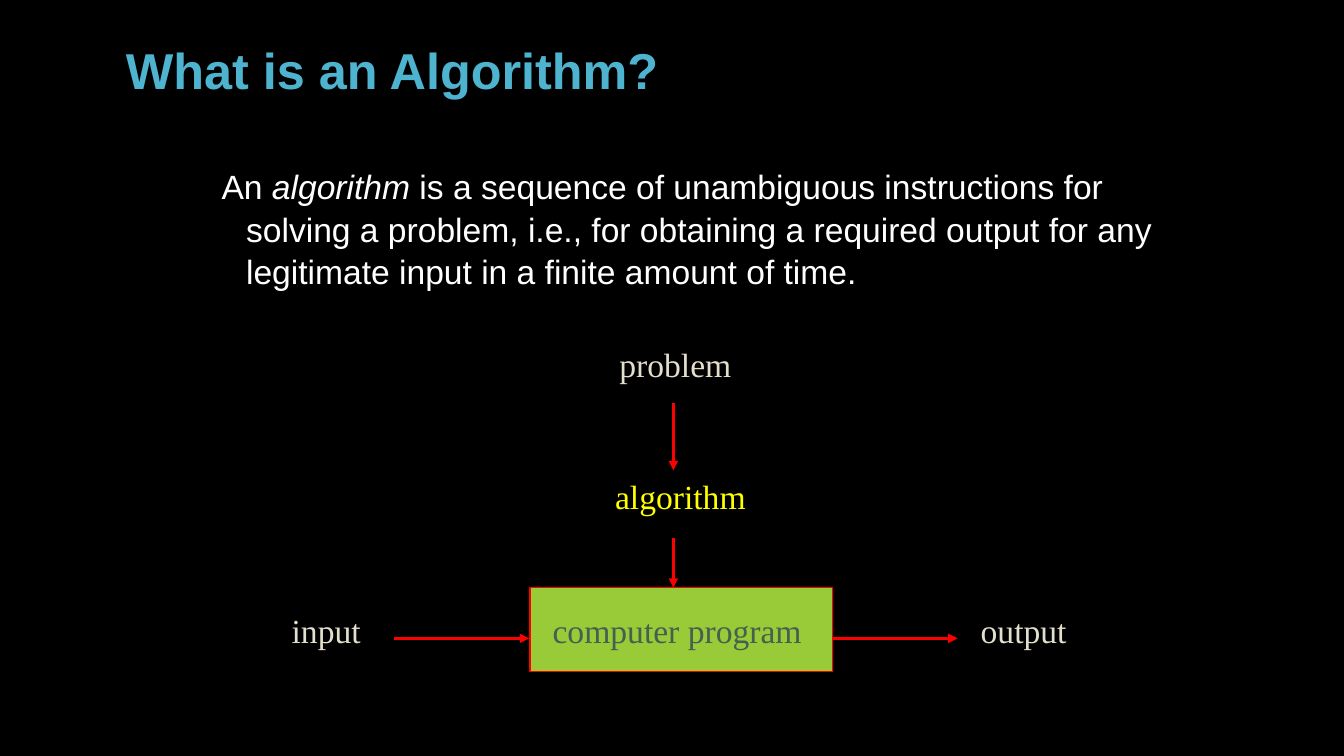
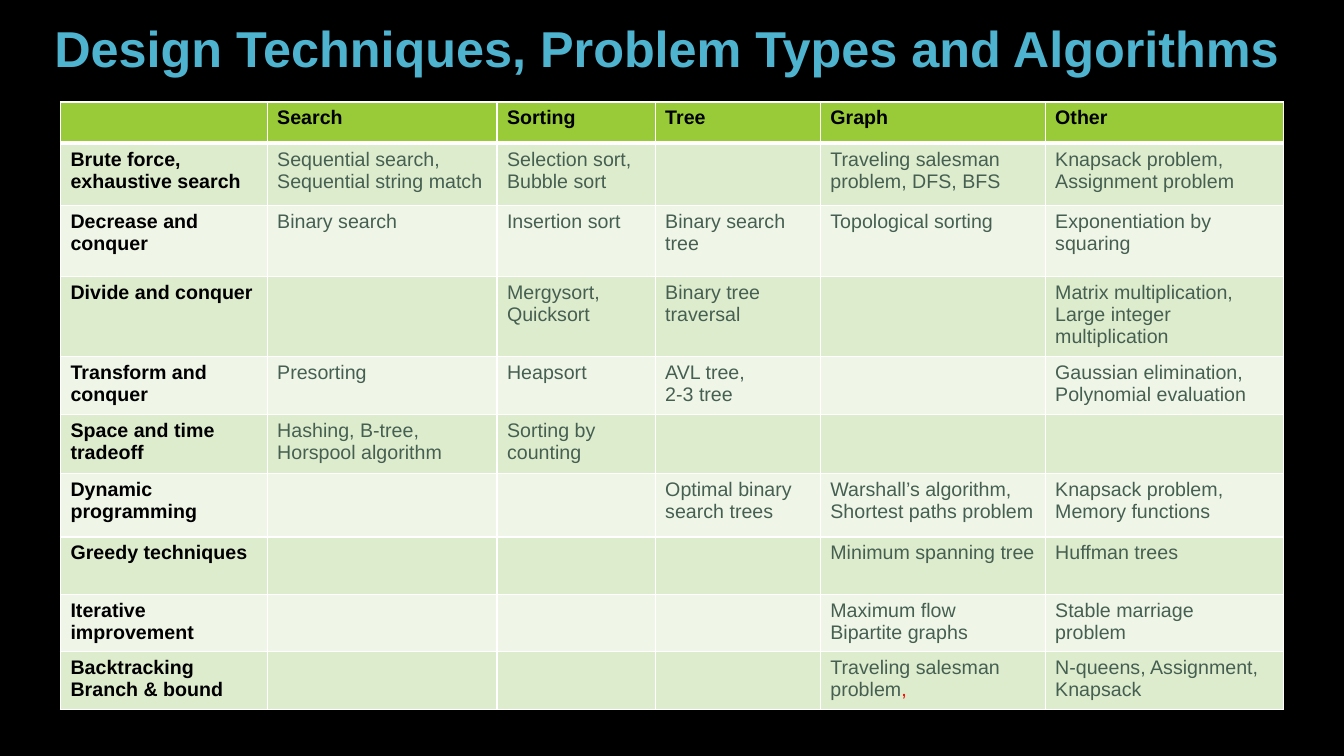
from pptx import Presentation
from pptx.dml.color import RGBColor
from pptx.enum.shapes import MSO_CONNECTOR, MSO_SHAPE
from pptx.enum.text import MSO_ANCHOR, PP_ALIGN
from pptx.oxml import parse_xml
from pptx.oxml.ns import nsdecls, qn
from pptx.util import Pt

STRAIGHT = MSO_CONNECTOR.STRAIGHT
RECT = MSO_SHAPE.RECTANGLE
TOP, MIDDLE, BOTTOM = MSO_ANCHOR.TOP, MSO_ANCHOR.MIDDLE, MSO_ANCHOR.BOTTOM
LEFT, CENTER = PP_ALIGN.LEFT, PP_ALIGN.CENTER

BLACK = RGBColor(0, 0, 0)
WHITE = RGBColor(255, 255, 255)
BLUE = RGBColor(0x4E, 0xB3, 0xCF)
GREEN = RGBColor(0x99, 0xCB, 0x38)
SAGE = RGBColor(0xDE, 0xEC, 0xCE)
PALE = RGBColor(0xEF, 0xF6, 0xE8)
DARK = RGBColor(0x45, 0x5F, 0x51)
CREAM = RGBColor(0xE2, 0xDF, 0xCC)
RED = RGBColor(255, 0, 0)
YELLOW = RGBColor(255, 255, 0)

TITLE = {"name": "Arial", "size": Pt(36), "bold": True, "rgb": BLUE}
BODY = {"name": "Arial", "size": Pt(24), "rgb": WHITE}
LABEL = {"name": "Times New Roman", "size": Pt(24), "rgb": CREAM}
CELL = {"name": "Arial", "size": Pt(14), "bold": False, "rgb": DARK}
HEAD = CELL | {"bold": True, "rgb": BLACK}

INTRO = [
    ("An ", {}),
    ("algorithm", {"italic": True}),
    (" is a sequence of unambiguous instructions for solving a problem, "
     "i.e., for obtaining a required output for any legitimate input "
     "in a finite amount of time.", {}),
]
LABELS = [
    ("problem", 424.8, 242, 115.2, CREAM),
    ("algorithm", 432, 336.2, 108, YELLOW),
    ("input", 185.8, 432, 94.3, CREAM),
    ("output", 684, 432, 94.3, CREAM),
]
PROGRAM = (378.7, 419.8, 216, 59.8)
ARROWS = [
    (481, 288, 481, 336),
    (481, 384, 481, 419.8),
    (281.5, 456, 378, 456),
    (594, 456, 684, 456),
]

COLS = [147.6, 164.2, 113, 118, 160.6, 170]
ROWS = [29.5, 44.6, 50.4, 56, 41, 42.5, 45.2, 41, 41, 41]
GRID = [
    ["", "Search", "Sorting", "Tree", "Graph", "Other"],
    ["Brute force, exhaustive search",
     "Sequential search, Sequential string match",
     "Selection sort, Bubble sort", "",
     "Traveling salesman problem, DFS, BFS",
     "Knapsack problem, Assignment problem"],
    ["Decrease and conquer", "Binary search", "Insertion sort",
     "Binary search tree", "Topological sorting",
     "Exponentiation by\nsquaring"],
    ["Divide and conquer", "", "Mergysort, Quicksort",
     "Binary tree traversal", "",
     "Matrix multiplication, Large integer multiplication"],
    ["Transform and conquer", "Presorting", "Heapsort",
     "AVL tree,\n2-3 tree", "",
     "Gaussian elimination, Polynomial evaluation"],
    ["Space and time tradeoff", "Hashing, B-tree, Horspool algorithm",
     "Sorting by counting", "", "", ""],
    ["Dynamic programming", "", "", "Optimal binary search trees",
     "Warshall’s algorithm, Shortest paths problem",
     "Knapsack problem, Memory functions"],
    ["Greedy techniques", "", "", "", "Minimum spanning tree",
     "Huffman trees"],
    ["Iterative\nimprovement", "", "", "",
     "Maximum flow\nBipartite graphs", "Stable marriage\nproblem"],
    ["Backtracking Branch & bound", "", "", "",
     [("Traveling salesman problem", {}), (",", {"rgb": RED})],
     "N-queens, Assignment, Knapsack"],
]


def style(font, form):
    for key, val in form.items():
        setattr(font.color if key == "rgb" else font, key, val)


def write(frame, text, form, align=LEFT):
    lines = text.split("\n") if isinstance(text, str) else [text]
    for num, line in enumerate(lines):
        para = frame.add_paragraph() if num else frame.paragraphs[0]
        para.alignment = align
        runs = [(line, {})] if isinstance(line, str) else line
        for words, extra in runs:
            if words:
                run = para.add_run()
                run.text = words
                style(run.font, form | extra)
    return frame.paragraphs[0]


def add_text(slide, place, text, form, align=LEFT, anchor=TOP, wrap=True):
    frame = slide.shapes.add_textbox(*map(Pt, place)).text_frame
    frame.word_wrap = wrap
    frame.vertical_anchor = anchor
    return write(frame, text, form, align)


def add_slide(deck, title, place, anchor):
    slide = deck.slides.add_slide(deck.slide_layouts[6])
    slide.background.fill.solid()
    slide.background.fill.fore_color.rgb = BLACK
    add_text(slide, place, title, TITLE, anchor=anchor).line_spacing = 0.9
    return slide


def add_arrow(slide, ends):
    arrow = slide.shapes.add_connector(STRAIGHT, *map(Pt, ends))
    arrow.line.color.rgb = RED
    arrow.line.width = Pt(2.25)
    props = arrow._element.spPr
    props.find(qn("a:ln")).append(
        parse_xml(f'<a:tailEnd {nsdecls("a")} type="triangle"/>'))
    props.append(parse_xml(f'<a:effectLst {nsdecls("a")}/>'))


def add_edges(cell, row):
    props = cell._tc.get_or_add_tcPr()
    wide = {"T": 3 if row == 1 else 1, "B": 3 if row == 0 else 1}
    for side in "LRTB":
        props.append(parse_xml(
            f'<a:ln{side} {nsdecls("a")} w="{Pt(wide.get(side, 1))}">'
            f'<a:solidFill><a:srgbClr val="{WHITE}"/></a:solidFill>'
            f'</a:ln{side}>'))


def add_grid(slide, left, top):
    table = slide.shapes.add_table(
        len(ROWS), len(COLS), Pt(left), Pt(top),
        Pt(sum(COLS)), Pt(sum(ROWS))).table
    table.horz_banding = False
    for col, width in zip(table.columns, COLS):
        col.width = Pt(width)
    for row, height in zip(table.rows, ROWS):
        row.height = Pt(height)
    for r, line in enumerate(GRID):
        for c, text in enumerate(line):
            cell = table.cell(r, c)
            add_edges(cell, r)
            cell.fill.solid()
            cell.fill.fore_color.rgb = (PALE, SAGE)[r % 2] if r else GREEN
            write(cell.text_frame, text, CELL if r and c else HEAD)


def add_flow(slide):
    box = slide.shapes.add_shape(RECT, *map(Pt, PROGRAM))
    box.shadow.inherit = False
    box.fill.solid()
    box.fill.fore_color.rgb = GREEN
    box.line.color.rgb = RED
    box.line.width = Pt(1)
    box.text_frame.word_wrap = False
    box.text_frame.vertical_anchor = MIDDLE
    write(box.text_frame, "computer program ", LABEL | {"rgb": DARK}, CENTER)
    for ends in ARROWS:
        add_arrow(slide, ends)
    for text, left, top, width, color in LABELS:
        add_text(slide, (left, top, width, 37.4), text,
                 LABEL | {"rgb": color}, CENTER)


def main():
    deck = Presentation()
    deck.slide_width, deck.slide_height = Pt(960), Pt(540)

    slide = add_slide(deck, "What is an Algorithm?",
                      (82.8, 10, 720, 84), MIDDLE)
    para = add_text(slide, (151.2, 113.8, 684, 100), INTRO, BODY)
    para.line_spacing = 1.05
    props = para._p.get_or_add_pPr()
    props.set("marL", str(Pt(17.5)))
    props.set("indent", str(-Pt(17.5)))
    add_flow(slide)

    slide = add_slide(deck, "Design Techniques, Problem Types and Algorithms",
                      (31.7, 15, 896, 44.8), BOTTOM)
    add_grid(slide, 43.2, 72.8)

    deck.save("out.pptx")


if __name__ == "__main__":
    main()
